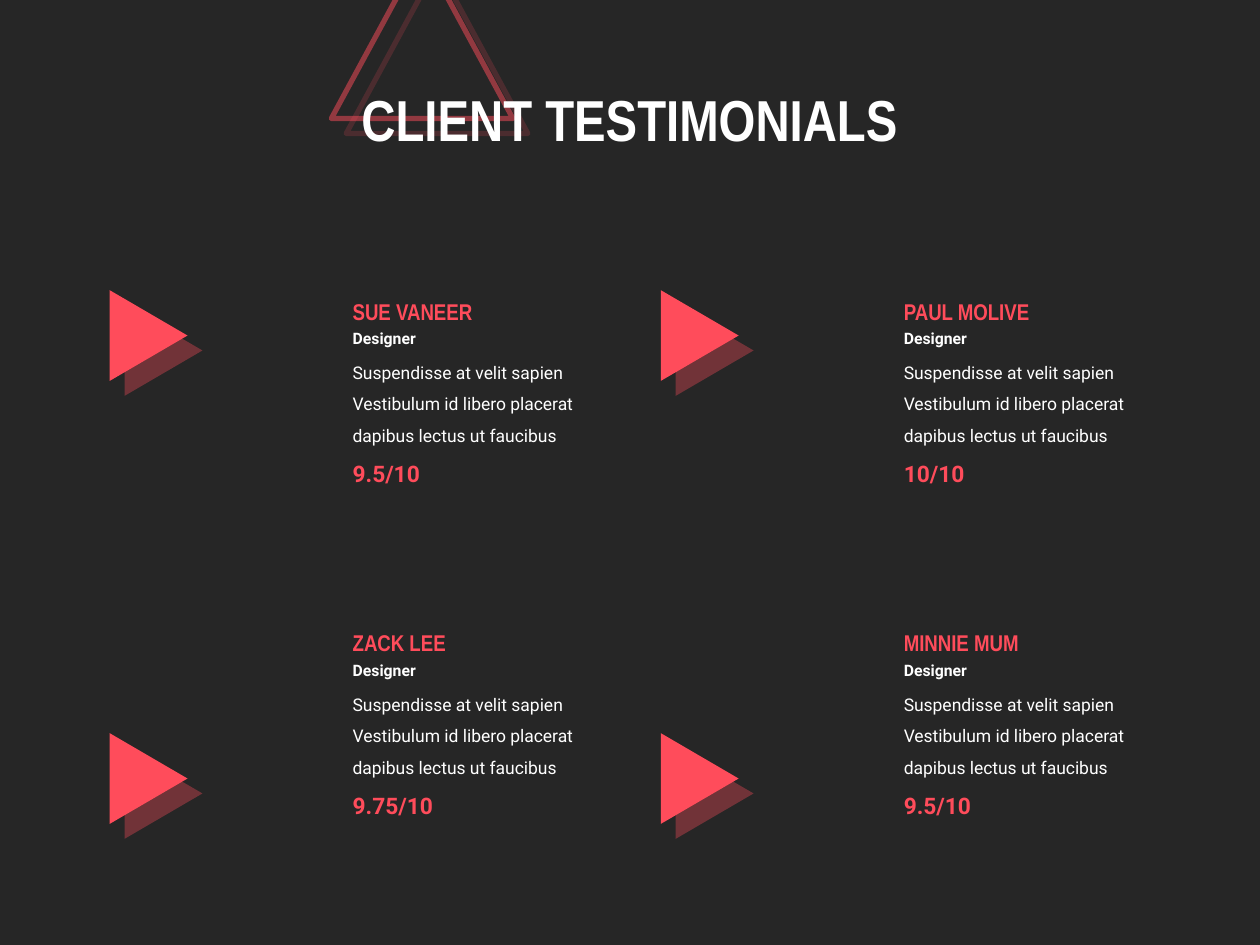
from lxml.etree import SubElement
from pptx import Presentation
from pptx.dml.color import RGBColor
from pptx.enum.shapes import MSO_SHAPE
from pptx.enum.text import MSO_ANCHOR, MSO_AUTO_SIZE, PP_ALIGN
from pptx.oxml.ns import qn
from pptx.util import Cm, Pt

COLORS = {"background": "262626", "accent": "FF4C5B", "text": "FFFFFF"}
ACCENT = RGBColor.from_string(COLORS["accent"])
HEADING, BODY = "Arial Narrow", "Roboto"

deck = Presentation()
deck.slide_width, deck.slide_height = Cm(25.4), Cm(19.05)
slide = deck.slides.add_slide(deck.slide_layouts[6])
slide.background.fill.solid()
slide.background.fill.fore_color.rgb = RGBColor.from_string(COLORS["background"])


def add_triangle(left, top, width, height):
    triangle = slide.shapes.add_shape(
        MSO_SHAPE.ISOSCELES_TRIANGLE, Cm(left), Cm(top), Cm(width), Cm(height))
    triangle.shadow.inherit = False
    effects = triangle._element.spPr.find(qn("a:effectLst"))
    shadow = SubElement(effects, qn("a:outerShdw"), blurRad="0", dist=str(Pt(12.1)),
                        dir="2700000", algn="tl", rotWithShape="0")
    tint = SubElement(shadow, qn("a:srgbClr"), val=COLORS["accent"])
    SubElement(tint, qn("a:alpha"), val="35000")
    return triangle


def add_text(wording, left, top, width, height, font, size, color, bold=True, spacing=1.0):
    box = slide.shapes.add_textbox(Cm(left), Cm(top), Cm(width), Cm(height))
    frame = box.text_frame
    frame.word_wrap = True
    frame.auto_size = MSO_AUTO_SIZE.SHAPE_TO_FIT_TEXT
    paragraph = frame.paragraphs[0]
    paragraph.line_spacing = spacing
    run = paragraph.add_run()
    run.text = wording
    run.font.name, run.font.size, run.font.bold = font, Pt(size), bold
    run.font.color.rgb = RGBColor.from_string(COLORS[color])
    return frame


emblem = add_triangle(6.68, -0.99, 3.66, 3.38)
emblem.fill.background()
emblem.line.color.rgb = ACCENT
emblem.line.width = Pt(3)
outline = emblem._element.spPr.find(qn("a:ln")).find(".//" + qn("a:srgbClr"))
SubElement(outline, qn("a:alpha"), val="50000")

title = add_text("CLIENT TESTIMONIALS", 6.22, 1.24, 12.95, 2.49, HEADING, 33, "text", spacing=0.9)
title.auto_size = MSO_AUTO_SIZE.NONE
title.vertical_anchor = MSO_ANCHOR.MIDDLE
title.paragraphs[0].alignment = PP_ALIGN.CENTER

QUOTE = "Suspendisse at velit sapien Vestibulum id libero placerat dapibus lectus ut faucibus"
COLUMN_PITCH, ROW_PITCH, MARKER_PITCH = 11.11, 6.69, 8.93
clients = [
    ("SUE VANEER", "9.5/10", 0, 0),
    ("ZACK LEE", "9.75/10", 0, 1),
    ("PAUL MOLIVE", "10/10", 1, 0),
    ("MINNIE MUM", "9.5/10", 1, 1),
]

for name, score, column, row in clients:
    left = 6.86 + column * COLUMN_PITCH
    drop = row * ROW_PITCH
    add_text(QUOTE, left, 6.96 + drop, 5.41, 2.16, BODY, 10, "text", bold=False, spacing=1.5)
    add_text(name, left, 5.87 + drop, 3.53, 0.81, HEADING, 13, "accent")
    add_text("Designer", left, 6.5 + drop, 1.98, 0.64, BODY, 9, "text")
    add_text(score, left, 9.14 + drop, 2.84, 0.81, BODY, 13, "accent")

    marker = add_triangle(2.08 + column * COLUMN_PITCH, 5.98 + row * MARKER_PITCH, 1.83, 1.57)
    marker.rotation = 90
    marker.fill.solid()
    marker.fill.fore_color.rgb = ACCENT
    marker.line.fill.background()

deck.save("out.pptx")
